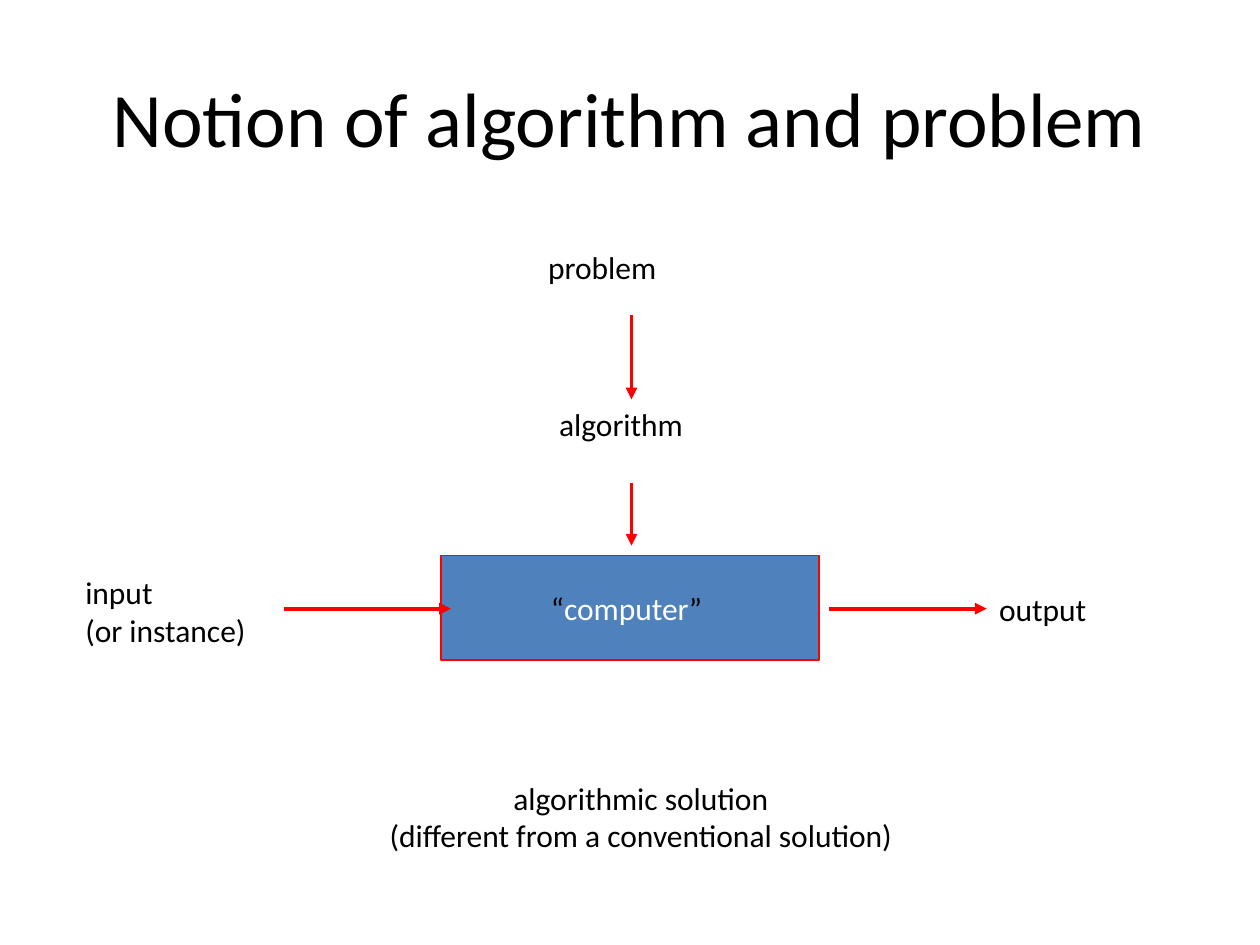
from dataclasses import dataclass

import pptx
import pptx.dml.color
import pptx.enum.shapes
import pptx.enum.text
import pptx.oxml
import pptx.oxml.ns
import pptx.util

Cm = pptx.util.Cm
RGB = pptx.dml.color.RGBColor
ALIGN = pptx.enum.text.PP_ALIGN
ANCHOR = pptx.enum.text.MSO_ANCHOR
NAMESPACE = pptx.oxml.ns.nsdecls("a")


@dataclass(frozen=True)
class Theme:
    font: str = "Calibri"
    ink: RGB = RGB(0x00, 0x00, 0x00)
    light: RGB = RGB(0xFF, 0xFF, 0xFF)
    box: RGB = RGB(0x4F, 0x81, 0xBD)
    accent: RGB = RGB(0xFF, 0x00, 0x00)
    title_size: int = 44
    label_size: int = 18
    border: float = 1
    arrow: float = 2.25


class SlideBuilder:
    def __init__(self, slide, theme):
        self.slide = slide
        self.theme = theme

    def style(self, run, size, color):
        run.font.name = self.theme.font
        run.font.size = pptx.util.Pt(size)
        run.font.color.rgb = color

    def style_frame(self, frame, size, align):
        for paragraph in frame.paragraphs:
            paragraph.alignment = align
            for run in paragraph.runs:
                self.style(run, size, self.theme.ink)

    def title(self, text, left, top, width, height):
        heading = self.slide.shapes.title
        heading.left, heading.top = Cm(left), Cm(top)
        heading.width, heading.height = Cm(width), Cm(height)
        heading.text_frame.text = text
        heading.text_frame.vertical_anchor = ANCHOR.MIDDLE
        self.style_frame(heading.text_frame, self.theme.title_size, ALIGN.CENTER)

    def label(self, text, left, top, width, height, align=ALIGN.LEFT, wrap=True):
        frame = self.slide.shapes.add_textbox(
            Cm(left), Cm(top), Cm(width), Cm(height)).text_frame
        frame.word_wrap = wrap
        frame.auto_size = pptx.enum.text.MSO_AUTO_SIZE.SHAPE_TO_FIT_TEXT
        frame.text = text
        self.style_frame(frame, self.theme.label_size, align)

    def box(self, parts, left, top, width, height):
        machine = self.slide.shapes.add_shape(
            pptx.enum.shapes.MSO_SHAPE.RECTANGLE,
            Cm(left), Cm(top), Cm(width), Cm(height))
        machine.shadow.inherit = False
        machine.fill.solid()
        machine.fill.fore_color.rgb = self.theme.box
        machine.line.color.rgb = self.theme.accent
        machine.line.width = pptx.util.Pt(self.theme.border)
        machine.text_frame.word_wrap = False
        machine.text_frame.vertical_anchor = ANCHOR.MIDDLE
        paragraph = machine.text_frame.paragraphs[0]
        paragraph.alignment = ALIGN.CENTER
        for text, color in parts:
            run = paragraph.add_run()
            run.text = text
            self.style(run, self.theme.label_size, color)

    def arrow(self, x1, y1, x2, y2):
        flow = self.slide.shapes.add_connector(
            pptx.enum.shapes.MSO_CONNECTOR.STRAIGHT,
            Cm(x1), Cm(y1), Cm(x2), Cm(y2))
        flow.line.color.rgb = self.theme.accent
        flow.line.width = pptx.util.Pt(self.theme.arrow)
        flow.line._get_or_add_ln().append(
            pptx.oxml.parse_xml(f'<a:tailEnd {NAMESPACE} type="triangle"/>'))
        flow._element.spPr.append(
            pptx.oxml.parse_xml(f"<a:effectLst {NAMESPACE}/>"))


def main():
    deck = pptx.Presentation()
    deck.slide_width, deck.slide_height = Cm(25.4), Cm(19.05)
    theme = Theme()
    builder = SlideBuilder(deck.slides.add_slide(deck.slide_layouts[5]), theme)

    builder.title("Notion of algorithm and problem", 1.27, 0.76, 22.86, 3.18)
    builder.box(
        [("“", theme.ink), ("computer", theme.light), ("” ", theme.ink)],
        8.89, 11.2, 7.62, 2.11)
    builder.label(
        "algorithmic solution\n(different from a conventional solution)",
        7.52, 15.57, 10.8, 1.8, align=ALIGN.CENTER, wrap=False)

    down_x, across_y = 12.73, 12.27
    for start, end in [(6.35, 8.05), (9.73, 11)]:
        builder.arrow(down_x, start, down_x, end)

    builder.label("problem", 10.8, 4.88, 3.81, 1.02)
    builder.label("algorithm", 11.02, 8.05, 3.05, 1.02, wrap=False)
    builder.label("input\n(or instance)", 1.47, 11.43, 4.88, 1.8)
    builder.label("output", 19.89, 11.76, 3.33, 1.02)

    for start, end in [(5.72, 9.09), (16.71, 19.89)]:
        builder.arrow(start, across_y, end, across_y)

    deck.save("out.pptx")


if __name__ == "__main__":
    main()
